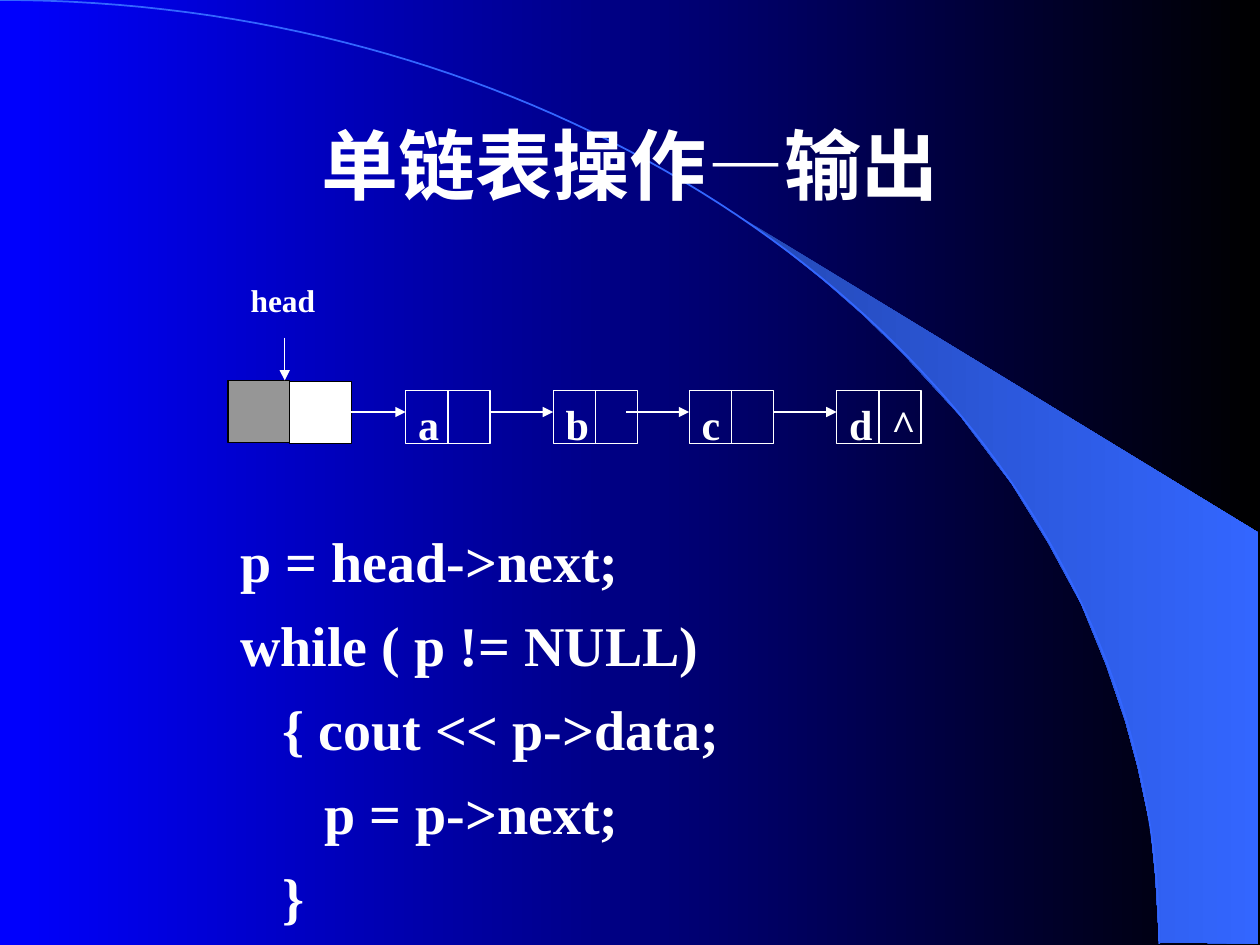
from typing import NamedTuple

from lxml.etree import SubElement
from pptx import Presentation
from pptx.dml.color import RGBColor
from pptx.enum.shapes import MSO_CONNECTOR, MSO_SHAPE
from pptx.enum.text import MSO_ANCHOR, PP_ALIGN
from pptx.oxml.ns import qn
from pptx.util import Inches, Pt

COLORS = {
    "blue": "0000FF", "black": "000000", "white": "FFFFFF", "gray": "969696",
    "arc": "3366FF", "beam": "2449B6",
}
SERIF = "Times New Roman"
SANS = "Arial"
NODE_WIDTH, CELL_HEIGHT, CELL_TOP = 0.67, 0.42, 3.1
CELL_WIDTH = NODE_WIDTH / 2
HEAD_SIZE = 0.49
ARROW_LENGTH, ARROW_Y = 0.5, 3.27


class Box(NamedTuple):
    left: float
    top: float
    width: float
    height: float


class Node(NamedTuple):
    left: float
    data: str
    link: str = ""


NODES = [Node(3.22, "a"), Node(4.39, "b"), Node(5.47, "c"), Node(6.64, "d", "^")]
TITLE = [("单链表操作", SANS), ("—", SERIF), ("输出", SANS)]
CODE = [
    "p = head->next;",
    "while ( p != NULL)",
    "   { cout << p->data;",
    "      p = p->next;",
    "   }",
]
BEAM = [
    (9.2, 7.48), (9.99, 7.49), (9.99, 4.23), (5.89, 1.73), (6.24, 1.99),
    (6.53, 2.22), (6.85, 2.5), (7.16, 2.8), (7.62, 3.3), (8.03, 3.84),
    (8.32, 4.31), (8.58, 4.79), (8.78, 5.28), (8.93, 5.72), (9.03, 6.09),
    (9.13, 6.56), (9.17, 6.96),
]
ARC = [(0, 0), (5.08, 0), (9.2, 3.35), (9.2, 7.49)]
ARC_STEPS = 80


def color(name: str) -> RGBColor:
    return RGBColor.from_string(COLORS[name])


def set_gradient(fill, start: str, end: str) -> None:
    fill.gradient()
    fill.gradient_angle = 0
    for stop, name in zip(fill.gradient_stops, (start, end)):
        stop.color.rgb = color(name)


def bezier(points: list, t: float) -> tuple:
    weights = ((1 - t) ** 3, 3 * t * (1 - t) ** 2, 3 * t * t * (1 - t), t ** 3)
    return tuple(sum(w * p[axis] for w, p in zip(weights, points)) for axis in (0, 1))


def add_outline(slide, points: list, close: bool):
    corners = [(Inches(x), Inches(y)) for x, y in points]
    builder = slide.shapes.build_freeform(*corners[0])
    builder.add_line_segments(corners[1:], close=close)
    shape = builder.convert_to_shape()
    shape.shadow.inherit = False
    return shape


def add_rectangle(slide, box: Box, line: str, fill: str = "") -> None:
    shape = slide.shapes.add_shape(MSO_SHAPE.RECTANGLE, *map(Inches, box))
    shape.shadow.inherit = False
    shape.line.color.rgb = color(line)
    shape.line.width = Pt(0.75)
    if fill:
        shape.fill.solid()
        shape.fill.fore_color.rgb = color(fill)
    else:
        shape.fill.background()


def add_arrow(slide, start: tuple, end: tuple) -> None:
    arrow = slide.shapes.add_connector(MSO_CONNECTOR.STRAIGHT, *map(Inches, start + end))
    arrow.line.color.rgb = color("white")
    arrow.line.width = Pt(0.75)
    SubElement(arrow.line._get_or_add_ln(), qn("a:tailEnd"), type="triangle")
    SubElement(arrow._element.spPr, qn("a:effectLst"))


def format_run(run, size: float, font: str = SERIF) -> None:
    run.font.size = Pt(size)
    run.font.bold = True
    run.font.name = font
    run.font.color.rgb = color("white")


def add_text(slide, box: Box, lines: list, size: float, inset_top: float = 0.05):
    text_frame = slide.shapes.add_textbox(*map(Inches, box)).text_frame
    text_frame.word_wrap = True
    text_frame.margin_top = Inches(inset_top)
    text_frame.text = "\n".join(lines)
    for paragraph in text_frame.paragraphs:
        for run in paragraph.runs:
            format_run(run, size)
    return text_frame


def add_node(slide, node: Node) -> None:
    add_arrow(slide, (node.left - ARROW_LENGTH, ARROW_Y), (node.left, ARROW_Y))
    for index, label in enumerate((node.data, node.link)):
        left = node.left + index * CELL_WIDTH
        add_rectangle(slide, Box(left, CELL_TOP, CELL_WIDTH, CELL_HEIGHT), "white")
        if label:
            width = 0.42 if index else CELL_WIDTH
            add_text(slide, Box(left, CELL_TOP, width, 0.5), [label], 24, 0.06)


def add_title(slide) -> None:
    text_frame = add_text(slide, Box(0.75, 0.67, 8.5, 1.25), [], 44)
    text_frame.vertical_anchor = MSO_ANCHOR.MIDDLE
    paragraph = text_frame.paragraphs[0]
    paragraph.alignment = PP_ALIGN.CENTER
    for text, font in TITLE:
        run = paragraph.add_run()
        run.text = text
        format_run(run, 44, font)


def main() -> None:
    presentation = Presentation()
    presentation.slide_width, presentation.slide_height = Inches(10), Inches(7.5)
    slide = presentation.slides.add_slide(presentation.slide_layouts[6])

    # Background with beam and arc
    set_gradient(slide.background.fill, "blue", "black")
    beam = add_outline(slide, BEAM, close=True)
    set_gradient(beam.fill, "beam", "arc")
    beam.line.fill.background()
    curve = [bezier(ARC, step / ARC_STEPS) for step in range(ARC_STEPS + 1)]
    arc = add_outline(slide, curve, close=False)
    arc.fill.background()
    arc.line.color.rgb = color("arc")
    arc.line.width = Pt(1)

    add_title(slide)

    # Head node and its pointer
    add_rectangle(slide, Box(1.81, 3.02, HEAD_SIZE, HEAD_SIZE), "black", "gray")
    add_rectangle(slide, Box(2.3, 3.03, HEAD_SIZE, HEAD_SIZE), "black", "white")
    head = add_text(slide, Box(1.89, 2.18, 1.23, 0.5), ["head"], 18)
    head.paragraphs[0].alignment = PP_ALIGN.JUSTIFY
    add_arrow(slide, (2.26, 2.68), (2.26, 3.02))

    # Linked nodes
    for node in NODES:
        add_node(slide, node)

    # Code
    code = add_text(slide, Box(1.81, 4, 5.16, 3.43), CODE, 32)
    for paragraph in code.paragraphs:
        paragraph.line_spacing = 1.25

    presentation.save("out.pptx")


if __name__ == "__main__":
    main()
